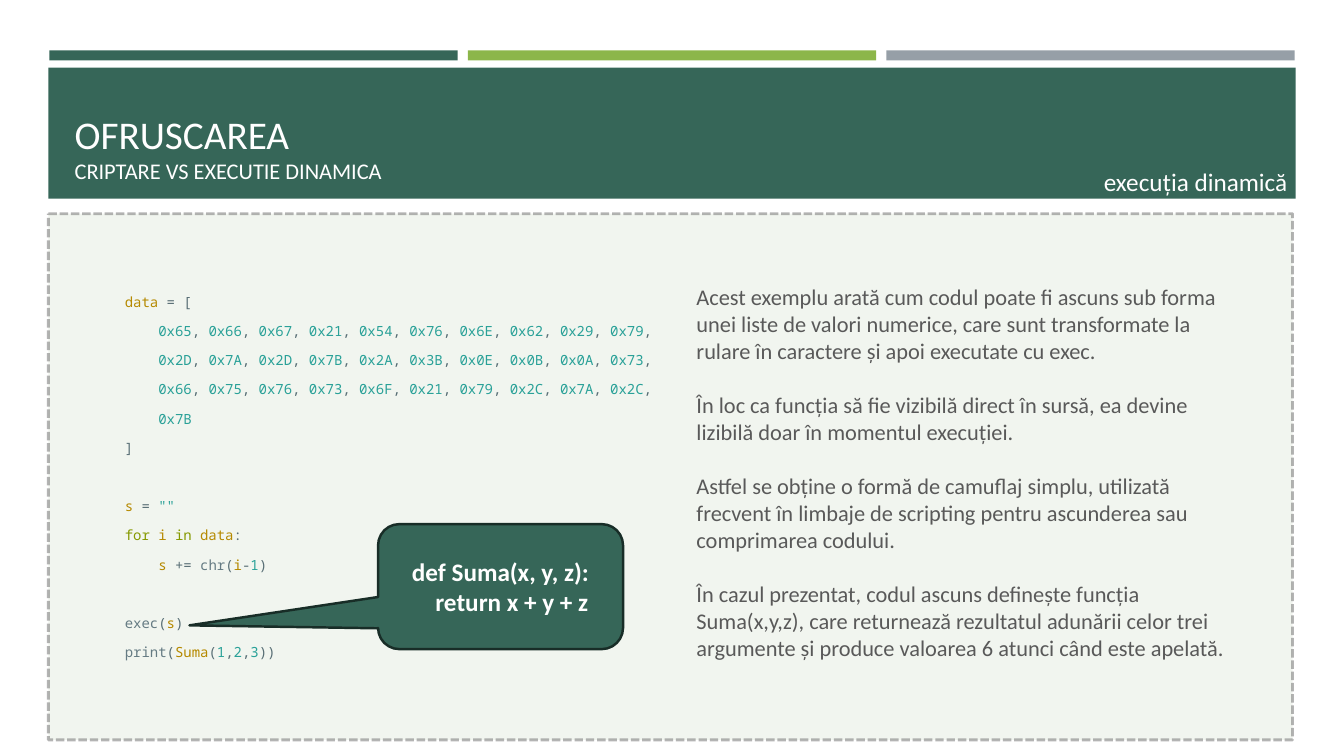
"""Build the slide about code obfuscation through dynamic execution."""
from lxml.etree import SubElement
from pptx import Presentation
from pptx.dml.color import RGBColor
from pptx.enum.dml import MSO_LINE
from pptx.enum.shapes import MSO_SHAPE
from pptx.enum.text import MSO_ANCHOR, MSO_AUTO_SIZE, PP_ALIGN
from pptx.oxml.ns import qn
from pptx.util import Inches, Pt

COLORS = {
    "green": "366658", "lime": "8CB64A", "gray": "969FA7", "white": "FFFFFF",
    "panel": "548235", "dash": "808080", "edge": "182D27", "body": "595959",
    "name": "B58900", "sign": "586E75", "plain": "657B83",
    "value": "2AA198", "keyword": "859900",
}


def rgb(name):
    return RGBColor.from_string(COLORS[name])


def add_run(p, text, size, color, font="Calibri", bold=False):
    r = p.add_run()
    r.text = text
    r.font.size = Pt(size)
    r.font.name = font
    r.font.bold = bold
    r.font.color.rgb = rgb(color)


prs = Presentation()
prs.slide_width, prs.slide_height = Inches(13.33), Inches(7.5)
s = prs.slides.add_slide(prs.slide_layouts[5])

bars = [(0.49 + 4.15 * i, 0.5, 4.05, 0.1, color)
        for i, color in enumerate(["green", "lime", "gray"])]
for x, y, w, h, color in bars + [(0.48, 0.67, 12.37, 1.3, "green")]:
    sp = s.shapes.add_shape(MSO_SHAPE.RECTANGLE, Inches(x), Inches(y), Inches(w), Inches(h))
    sp.shadow.inherit = False
    sp.fill.solid()
    sp.fill.fore_color.rgb = rgb(color)
    sp.line.fill.background()

panel = s.shapes.add_shape(MSO_SHAPE.FLOWCHART_PROCESS, Inches(0.48), Inches(2.12),
                           Inches(12.34), Inches(5.22))
panel.shadow.inherit = False
panel.fill.solid()
panel.fill.fore_color.rgb = rgb("panel")
panel.line.color.rgb = rgb("dash")
panel.line.width = Pt(2)
panel.line.dash_style = MSO_LINE.SQUARE_DOT
fills = panel._element.spPr.iter(qn("a:srgbClr"))
for clr, alpha in zip(list(fills), [8, 59]):
    SubElement(clr, qn("a:alpha")).set("val", str(alpha * 1000))

title = s.shapes.title
title.left, title.top, title.width, title.height = [Inches(v) for v in (0.64, 0.77, 12.06, 1.11)]
s.shapes._spTree.append(title._element)
tf = title.text_frame
tf.auto_size = MSO_AUTO_SIZE.NONE
tf.vertical_anchor = MSO_ANCHOR.BOTTOM
p = tf.paragraphs[0]
p.alignment = PP_ALIGN.LEFT
add_run(p, "OFRUSCAREA", 28, "white")
p.add_line_break()
add_run(p, "CRIPTARE VS EXECUTIE DINAMICA", 16, "white")

hex_rows = [
    "0x65 0x66 0x67 0x21 0x54 0x76 0x6E 0x62 0x29 0x79",
    "0x2D 0x7A 0x2D 0x7B 0x2A 0x3B 0x0E 0x0B 0x0A 0x73",
    "0x66 0x75 0x76 0x73 0x6F 0x21 0x79 0x2C 0x7A 0x2C",
    "0x7B",
]
code = [[("data ", "name"), ("= [", "sign")]]
for row in hex_rows:
    line = [("    ", "plain")]
    for value in row.split():
        line += [(value, "value"), (", ", "sign")]
    line[-1] = (",", "sign")
    code.append(line)
code[-1].pop()
code += [
    [("]", "sign")],
    [("s ", "name"), ("= ", "sign"), ('""', "value")],
    [("for ", "keyword"), ("i ", "name"), ("in ", "keyword"), ("data", "name"), (":", "sign")],
    [("    ", "plain"), ("s ", "name"), ("+=", "sign"), (" chr", "plain"), ("(", "sign"),
     ("i", "name"), ("-", "sign"), ("1", "value"), (")", "sign")],
    [("exec", "plain"), ("(", "sign"), ("s", "name"), (")", "sign")],
    [("print", "plain"), ("(", "sign"), ("Suma", "name"), ("(", "sign"), ("1", "value"),
     (",", "sign"), ("2", "value"), (",", "sign"), ("3", "value"), ("))", "sign")],
]
block_ends = [5, 8]
tf = s.shapes.add_textbox(Inches(1.14), Inches(2.85), Inches(6.67), Inches(3.78)).text_frame
tf.word_wrap = True
for i, line in enumerate(code):
    p = tf.paragraphs[0] if i == 0 else tf.add_paragraph()
    p.line_spacing = 1.07
    p.space_after = Pt(29 if i in block_ends else 8)
    for text, color in line:
        add_run(p, text, 10, color, "Noto Sans Mono")

explanation = [
    "Acest exemplu arată cum codul poate fi ascuns sub forma unei liste de valori numerice, "
    "care sunt transformate la rulare în caractere și apoi executate cu exec.",
    "În loc ca funcția să fie vizibilă direct în sursă, ea devine lizibilă doar în momentul "
    "execuției.",
    "Astfel se obține o formă de camuflaj simplu, utilizată frecvent în limbaje de scripting "
    "pentru ascunderea sau comprimarea codului.",
    "În cazul prezentat, codul ascuns definește funcția Suma(x,y,z), care returnează rezultatul "
    "adunării celor trei argumente și produce valoarea 6 atunci când este apelată.",
]
tf = s.shapes.add_textbox(Inches(6.81), Inches(2.76), Inches(5.56), Inches(3.87)).text_frame
tf.word_wrap = True
for i, text in enumerate(explanation):
    p = tf.paragraphs[0] if i == 0 else tf.add_paragraph()
    if i:
        p.space_before = Pt(19.5)
    add_run(p, text, 16, "body")

tf = s.shapes.add_textbox(Inches(10.85), Inches(1.6), Inches(2.04), Inches(0.4)).text_frame
tf.word_wrap = True
add_run(tf.paragraphs[0], "execuția dinamică", 18, "white")

callout = s.shapes.add_shape(MSO_SHAPE.ROUNDED_RECTANGULAR_CALLOUT, Inches(3.75), Inches(5.2),
                             Inches(2.43), Inches(1.24))
callout.shadow.inherit = False
for i, value in enumerate([-1.27, 0.31, 0.17]):
    callout.adjustments[i] = value
callout.fill.solid()
callout.fill.fore_color.rgb = rgb("green")
callout.line.color.rgb = rgb("edge")
callout.line.width = Pt(1.75)
tf = callout.text_frame
tf.vertical_anchor = MSO_ANCHOR.MIDDLE
for i, text in enumerate(["def Suma(x, y, z):", "    return x + y + z"]):
    p = tf.paragraphs[0] if i == 0 else tf.add_paragraph()
    p.alignment = PP_ALIGN.CENTER
    add_run(p, text, 18, "white", bold=True)

prs.save("out.pptx")
